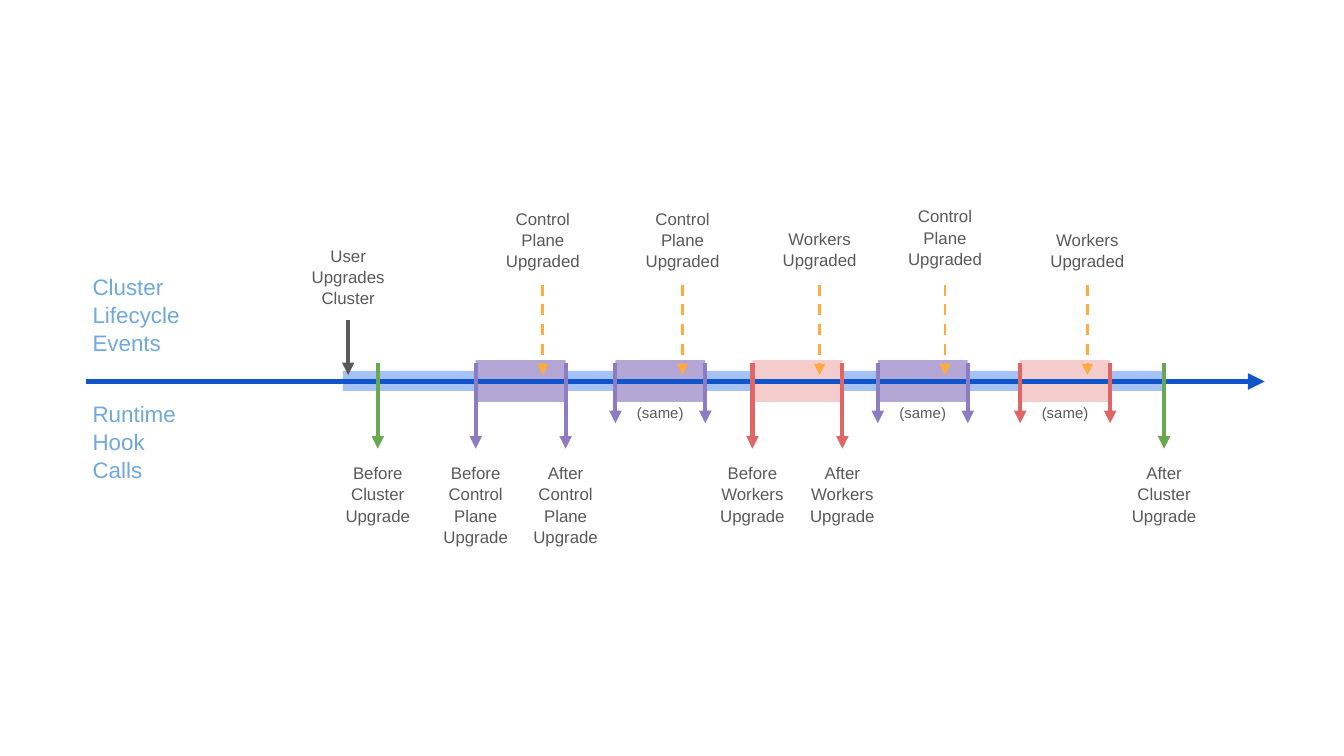
"""Build a timeline of cluster upgrade events and runtime hook calls."""
from lxml import etree
from pptx import Presentation
from pptx.dml.color import RGBColor
from pptx.enum import dml, shapes, text
from pptx.oxml import ns
from pptx.util import Cm, Pt

THEME = {
    "font": "Arial", "label": 9, "note": 8, "heading": 12, "leading": 1.05,
    "ink": "595959", "heading_ink": "6FA8DC", "axis": "1155CC", "span": "A4C2F4",
    "event": "FFAB40", "cluster": "6AA84F",
    "control": "8E7CC3", "control_band": "B4A7D6",
    "workers": "E06666", "workers_band": "F4CCCC",
}
BAND_W, EVENT_DX = 1.7, 1.27
HOOK_TOP, HOOK_END, SHORT_END = 6.86, 8.48, 8
EVENT_TOP, EVENT_END = 5.38, 7.09
AXIS_Y, LABEL_Y = 7.21, 8.48
CLUSTER_START, CLUSTER_END = 7.14, 22


def add_label(s, words, x, y, w, h, size="label", color="ink",
              align=text.PP_ALIGN.CENTER, anchor=text.MSO_ANCHOR.TOP):
    sp = s.shapes.add_textbox(Cm(x), Cm(y), Cm(w), Cm(h))
    tf = sp.text_frame
    frame = {"word_wrap": True, "vertical_anchor": anchor}
    frame.update({f"margin_{side}": Cm(0.25) for side in ("left", "top", "right", "bottom")})
    for name, value in frame.items():
        setattr(tf, name, value)
    tf.text = words
    for p in tf.paragraphs:
        p.alignment, p.line_spacing = align, THEME["leading"]
        for r in p.runs:
            r.font.name, r.font.size = THEME["font"], Pt(THEME[size])
            r.font.color.rgb = RGBColor.from_string(THEME[color])
    return tf


def add_arrow(s, x1, y1, x2, y2, color, width=2.25, dash=None):
    sp = s.shapes.add_connector(shapes.MSO_CONNECTOR.STRAIGHT, Cm(x1), Cm(y1), Cm(x2), Cm(y2))
    sp.line.color.rgb = RGBColor.from_string(THEME[color])
    sp.line.width = Pt(width)
    if dash:
        sp.line.dash_style = dash
    etree.SubElement(sp.line._get_or_add_ln(), ns.qn("a:tailEnd"), type="triangle")
    etree.SubElement(sp._element.spPr, ns.qn("a:effectLst"))


prs = Presentation()
prs.slide_width, prs.slide_height = Cm(25.4), Cm(14.29)
s = prs.slides.add_slide(prs.slide_layouts[6])

stages = [
    (8.99, "control", "Control\nPlane", 4.52, True),
    (11.63, "control", "Control\nPlane", 4.52, False),
    (14.22, "workers", "Workers", 4.5, True),
    (16.59, "control", "Control\nPlane", 4.47, False),
    (19.28, "workers", "Workers", 4.52, False),
]

bands = [(6.48, 7.01, 15.54, 0.38, "span")]
bands += [(x, 6.81, BAND_W, 0.79, f"{kind}_band") for x, kind, *_ in stages]
for x, y, w, h, color in bands:
    sp = s.shapes.add_shape(shapes.MSO_SHAPE.RECTANGLE, Cm(x), Cm(y), Cm(w), Cm(h))
    sp.shadow.inherit = False
    sp.fill.solid()
    sp.fill.fore_color.rgb = RGBColor.from_string(THEME[color])
    sp.line.fill.background()

add_arrow(s, 1.63, AXIS_Y, 23.9, AXIS_Y, "axis", 3)
add_arrow(s, 6.58, 6.05, 6.58, EVENT_END, "ink")
add_label(s, "User\nUpgrades\nCluster", 5.5, 5.23, 2.16, 0.84, anchor=text.MSO_ANCHOR.BOTTOM)

for x, when in ((CLUSTER_START, "Before"), (CLUSTER_END, "After")):
    add_arrow(s, x, HOOK_TOP, x, HOOK_END, "cluster")
    add_label(s, f"{when}\nCluster\nUpgrade", x - 1.08, LABEL_Y, 2.16, 1.32)

for left, kind, name, label_y, first in stages:
    for x, when, w in ((left, "Before", 3.02), (left + BAND_W, "After", 2.16)):
        add_arrow(s, x, HOOK_TOP, x, HOOK_END if first else SHORT_END, kind)
        if first:
            add_label(s, f"{when}\n{name}\nUpgrade", x - w / 2, LABEL_Y, w, 1.32)
    if not first:
        add_label(s, "(same)", left + BAND_W / 2 - 1.08, 7.44, 2.16, 0.79, "note")
    x = left + EVENT_DX
    add_arrow(s, x, EVENT_TOP, x, EVENT_END, "event", 1.5, dml.MSO_LINE.DASH)
    add_label(s, f"{name}\nUpgraded", x - 1.26, label_y, 2.52, 0.86, anchor=text.MSO_ANCHOR.BOTTOM)

for words, y in (("Cluster\nLifecycle\nEvents", 4.88), ("Runtime\nHook\nCalls", 7.29)):
    tf = add_label(s, words, 1.5, y, 2.51, 2.06, "heading", "heading_ink", text.PP_ALIGN.LEFT)
    tf.auto_size = text.MSO_AUTO_SIZE.SHAPE_TO_FIT_TEXT

prs.save("out.pptx")
